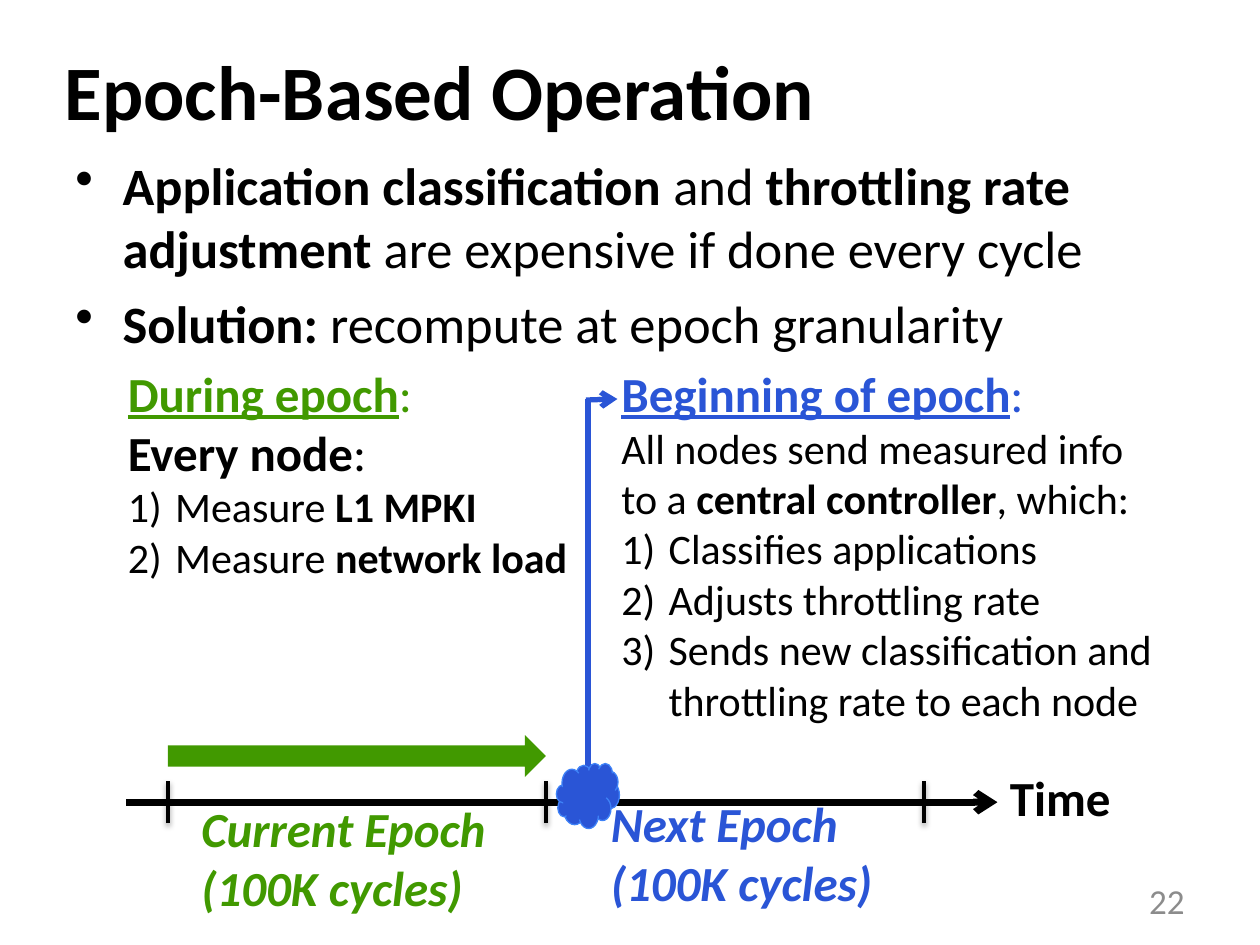
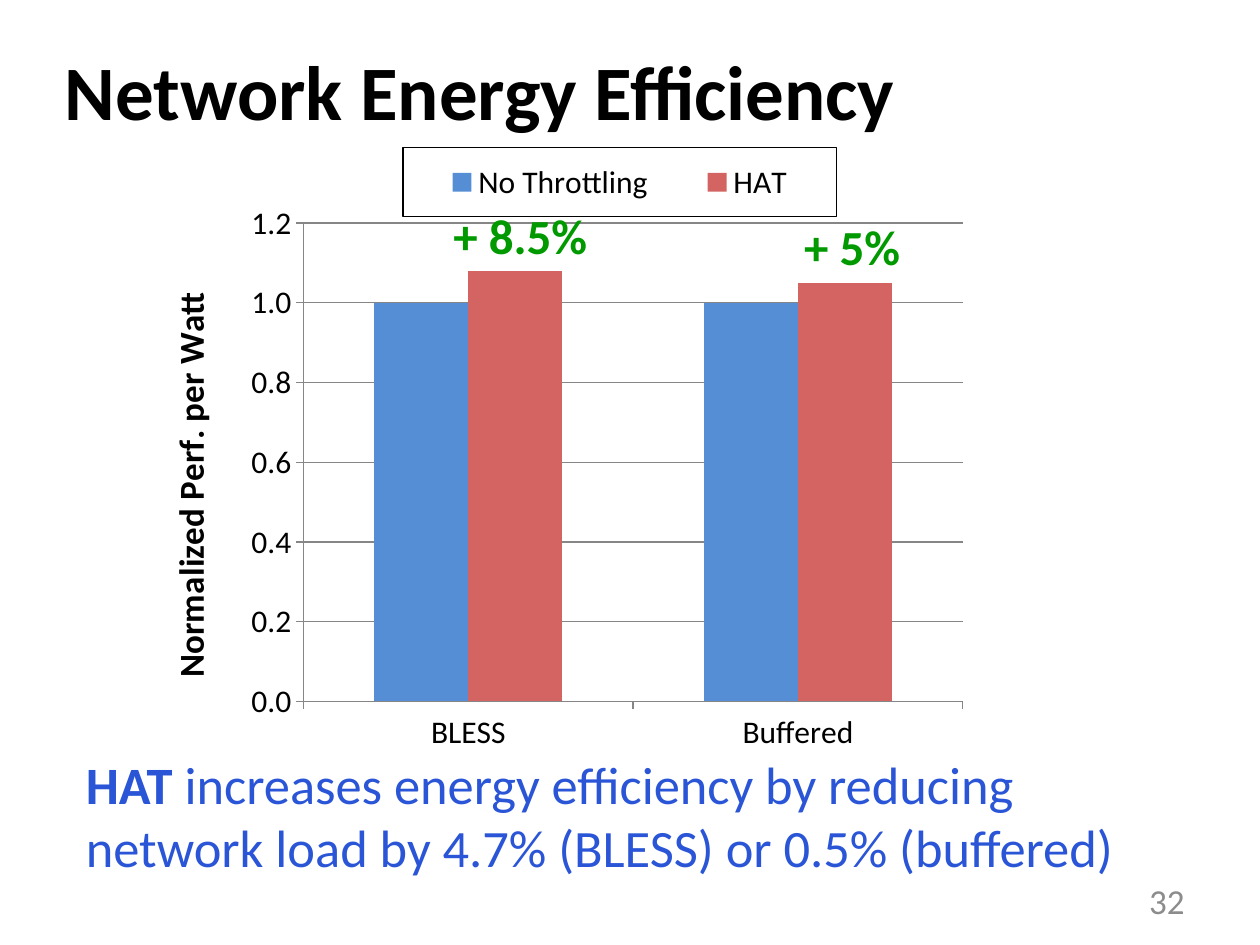
from dataclasses import dataclass
from pptx import Presentation
from pptx.chart.data import CategoryChartData
from pptx.dml.color import RGBColor
from pptx.enum.chart import XL_CHART_TYPE as ChartType, XL_LEGEND_POSITION as LegendPosition
from pptx.enum.chart import XL_TICK_MARK as Tick
from pptx.enum.shapes import MSO_CONNECTOR as Connector, MSO_SHAPE as Shape
from pptx.enum.text import MSO_ANCHOR as Anchor, PP_ALIGN as Align
from pptx.oxml import parse_xml
from pptx.oxml.ns import nsdecls
from pptx.util import Inches, Pt


@dataclass(frozen=True)
class Theme:
    font: str = "Calibri"
    ink: str = "000000"
    muted: str = "8C8C8C"
    green: str = "419900"
    gain: str = "009900"
    blue: str = "2A55D6"
    cloud_edge: str = "3E82F7"
    axis: str = "868686"
    plain_bar: str = "558ED5"
    hat_bar: str = "D36461"
    title: int = 44
    body: int = 30
    label: int = 28
    detail: int = 24
    small: int = 20
    tick: int = 18


THEME = Theme()
WIDTH, HEIGHT = Inches(10), Inches(7.5)
COLUMNS, ROWS = 120, 90
INDENT = Inches(0.375)
BULLET = '<a:buChar {} char="•"/>'
NUMBER = '<a:buAutoNum {} type="arabicParenR"/>'


def across(columns):
    return round(WIDTH * columns / COLUMNS)


def down(rows):
    return round(HEIGHT * rows / ROWS)


def grid(column, row, columns, rows):
    return across(column), down(row), across(columns), down(rows)


def rgb(value):
    return RGBColor.from_string(value)


def apply(target, **values):
    for name, value in values.items():
        setattr(target, name, value)


def style_font(font, size, color=THEME.ink, flags=""):
    apply(font, name=THEME.font, size=Pt(size), bold="b" in flags,
          italic="i" in flags, underline="u" in flags)
    font.color.rgb = rgb(color)


def span(text, flags="", size=THEME.detail, color=THEME.ink):
    return text, size, color, flags


def para(*spans, marker=None, before=0, align=Align.LEFT):
    return spans, marker, before, align


def add_text(page, place, *paras, wrap=True, anchor=Anchor.TOP):
    box = page.shapes.add_textbox(*grid(*place))
    frame = box.text_frame
    apply(frame, word_wrap=wrap, vertical_anchor=anchor)
    for index, (spans, marker, before, align) in enumerate(paras):
        paragraph = frame.paragraphs[0] if index == 0 else frame.add_paragraph()
        apply(paragraph, alignment=align, space_before=Pt(before))
        if marker:
            properties = paragraph._p.get_or_add_pPr()
            properties.set("marL", str(INDENT))
            properties.set("indent", str(-INDENT))
            properties.append(parse_xml(marker.format(nsdecls("a"))))
        for text, size, color, flags in spans:
            run = paragraph.add_run()
            run.text = text
            style_font(run.font, size, color, flags)


def add_label(page, place, color, flags, *lines):
    add_text(page, place, *(para(span(line, flags, THEME.label, color)) for line in lines),
             wrap=False)


def add_line(page, start, end, color, width, arrow=False, shadow=False):
    line = page.shapes.add_connector(
        Connector.STRAIGHT, across(start[0]), down(start[1]), across(end[0]), down(end[1]))
    line.line.color.rgb = rgb(color)
    line.line.width = Pt(width)
    if arrow:
        line.line._get_or_add_ln().append(
            parse_xml(f'<a:tailEnd {nsdecls("a")} type="arrow"/>'))
    effect = (f'<a:outerShdw blurRad="{Pt(3.1)}" dist="{Pt(1.6)}" dir="5400000">'
              f'<a:srgbClr val="{THEME.ink}"><a:alpha val="38000"/></a:srgbClr>'
              '</a:outerShdw>') if shadow else ""
    line._element.spPr.append(
        parse_xml(f'<a:effectLst {nsdecls("a")}>{effect}</a:effectLst>'))


def add_solid(page, kind, place, fill, edge=None):
    shape = page.shapes.add_shape(kind, *grid(*place))
    shape.shadow.inherit = False
    shape.fill.solid()
    shape.fill.fore_color.rgb = rgb(fill)
    if edge:
        shape.line.color.rgb = rgb(edge)
        shape.line.width = Pt(0.75)
    else:
        shape.line.fill.background()


def add_page(deck, title, number):
    page = deck.slides.add_slide(deck.slide_layouts[6])
    add_text(page, (5, 1, 108, 15), para(span(title, "b", THEME.title)), anchor=Anchor.MIDDLE)
    add_text(page, (86, 83.4, 28, 4.8),
             para(span(number, "", THEME.small, THEME.muted), align=Align.RIGHT),
             anchor=Anchor.MIDDLE)
    return page


def manual_layout(target=None, **shares):
    names = {"x": "xMode", "y": "yMode"}
    modes = "".join(f'<c:{names[key]} val="edge"/>' for key in shares if key in names)
    values = "".join(f'<c:{key} val="{value}"/>' for key, value in shares.items())
    inner = f'<c:layoutTarget val="{target}"/>' if target else ""
    return parse_xml(f'<c:layout {nsdecls("c")}><c:manualLayout>{inner}{modes}{values}'
                     '</c:manualLayout></c:layout>')


def place_part(element, layout, after=None):
    for old in element.findall(layout.tag):
        element.remove(old)
    if after is None:
        element.insert(0, layout)
    else:
        after.addnext(layout)


def style_axis(axis):
    apply(axis, major_tick_mark=Tick.OUTSIDE, minor_tick_mark=Tick.NONE)
    style_font(axis.tick_labels.font, THEME.tick)
    axis.format.line.color.rgb = rgb(THEME.axis)


def add_efficiency_chart(page, place):
    data = CategoryChartData()
    data.categories = ["BLESS", "Buffered"]
    data.add_series("No Throttling", (1, 1))
    data.add_series("HAT", (1.08, 1.05))
    chart = page.shapes.add_chart(ChartType.COLUMN_CLUSTERED, *grid(*place), data).chart
    style_font(chart.font, 10)
    chart.has_title = False
    plot = chart.plots[0]
    apply(plot, gap_width=150, overlap=0, vary_by_categories=False)
    for series, color in zip(plot.series, (THEME.plain_bar, THEME.hat_bar)):
        series.format.fill.solid()
        series.format.fill.fore_color.rgb = rgb(color)

    values = chart.value_axis
    style_axis(chart.category_axis)
    style_axis(values)
    apply(values, minimum_scale=0, maximum_scale=1.2, major_unit=0.2, has_major_gridlines=True)
    values.major_gridlines.format.line.color.rgb = rgb(THEME.axis)
    apply(values.tick_labels, number_format="0.0", number_format_is_linked=False)
    heading = values.axis_title.text_frame
    heading.text = "Normalized Perf. per Watt"
    style_font(heading.paragraphs[0].runs[0].font, THEME.small, flags="b")
    heading._txBody.bodyPr.set("rot", "-5400000")
    heading._txBody.bodyPr.set("vert", "horz")

    chart.has_legend = True
    legend = chart.legend
    apply(legend, position=LegendPosition.RIGHT, include_in_layout=False)
    style_font(legend.font, THEME.tick)
    legend._element.find(".//{*}overlay").addnext(parse_xml(
        f'<c:spPr {nsdecls("c", "a")}><a:ln w="9525"><a:solidFill>'
        f'<a:srgbClr val="{THEME.ink}"/></a:solidFill></a:ln></c:spPr>'))

    area = chart._chartSpace.chart.plotArea
    place_part(area, manual_layout("inner", x=0.22, y=0.12, w=0.73, h=0.76))
    title = values.axis_title._element
    place_part(title, manual_layout(x=0.06, y=0.22), title.find("{*}tx"))
    place_part(legend._element, manual_layout(x=0.33, y=0, w=0.48, h=0.11),
               legend._element.find("{*}legendPos"))


def add_timeline(page):
    axis_row = 76.4
    add_line(page, (12, axis_row), (95, axis_row), THEME.ink, 4, arrow=True)
    for column in range(16, 89, 36):
        add_line(page, (column, axis_row + 2), (column, axis_row - 2), THEME.ink, 2, shadow=True)
    add_label(page, (95, 72.5, 12, 6.8), THEME.ink, "b", "Time")
    length = "(100K cycles)"
    add_label(page, (18, 75.5, 31, 12.5), THEME.green, "bi", "Current Epoch", length)
    add_label(page, (57, 75, 29, 12.5), THEME.blue, "bi", "Next Epoch", length)


def add_epoch_page(deck):
    page = add_page(deck, "Epoch-Based Operation", "22")
    body = THEME.body
    add_text(page, (6, 14, 108, 69),
             para(span("Application classification ", "b", body), span("and", "", body),
                  span(" throttling rate adjustment", "b", body),
                  span(" are expensive if done every cycle", "", body),
                  marker=BULLET, before=7),
             para(span("Solution: ", "b", body),
                  span("recompute at epoch granularity", "", body), marker=BULLET, before=7))
    add_timeline(page)
    label = THEME.label
    add_text(page, (11, 34, 50, 22),
             para(span("During epoch", "bu", label, THEME.green),
                  span(":", "", label, THEME.green)),
             para(span("Every node", "b", label), span(":", "", label)),
             *(para(span("Measure "), span(measure, "b"), marker=NUMBER)
               for measure in ("L1 MPKI", "network load")))
    add_line(page, (55.8, 38.1), (58.8, 38), THEME.blue, 3, arrow=True)
    add_line(page, (56, 75.5), (56, 38), THEME.blue, 3)
    add_solid(page, Shape.CLOUD, (53, 72.7, 6, 6.2), THEME.blue, THEME.cloud_edge)
    add_text(page, (58, 34, 53, 36),
             para(span("Beginning of epoch", "bu", label, THEME.blue),
                  span(":", "", label, THEME.blue)),
             para(span("All nodes send measured info to a "),
                  span("central controller", "b"), span(", which:")),
             *(para(span(step), marker=NUMBER)
               for step in ("Classifies applications", "Adjusts throttling rate",
                            "Sends new classification and throttling rate to each node")))
    add_solid(page, Shape.RIGHT_ARROW, (16, 70, 36, 4), THEME.green)


def add_energy_page(deck):
    page = add_page(deck, "Network Energy Efficiency", "32")
    add_efficiency_chart(page, (10, 14, 86, 60))
    add_label(page, (42, 19, 15.4, 6.8), THEME.gain, "b", "+ 8.5%")
    add_label(page, (75.4, 20, 11.6, 6.8), THEME.gain, "b", "+ 5%")
    add_text(page, (7, 71, 105, 13.3),
             para(span("HAT ", "b", THEME.body, THEME.blue),
                  span("increases energy efficiency by reducing network load by "
                       "4.7% (BLESS) or 0.5% (buffered)", "", THEME.body, THEME.blue)))


def main():
    deck = Presentation()
    apply(deck, slide_width=WIDTH, slide_height=HEIGHT)
    add_epoch_page(deck)
    add_energy_page(deck)
    deck.save("out.pptx")


if __name__ == "__main__":
    main()
